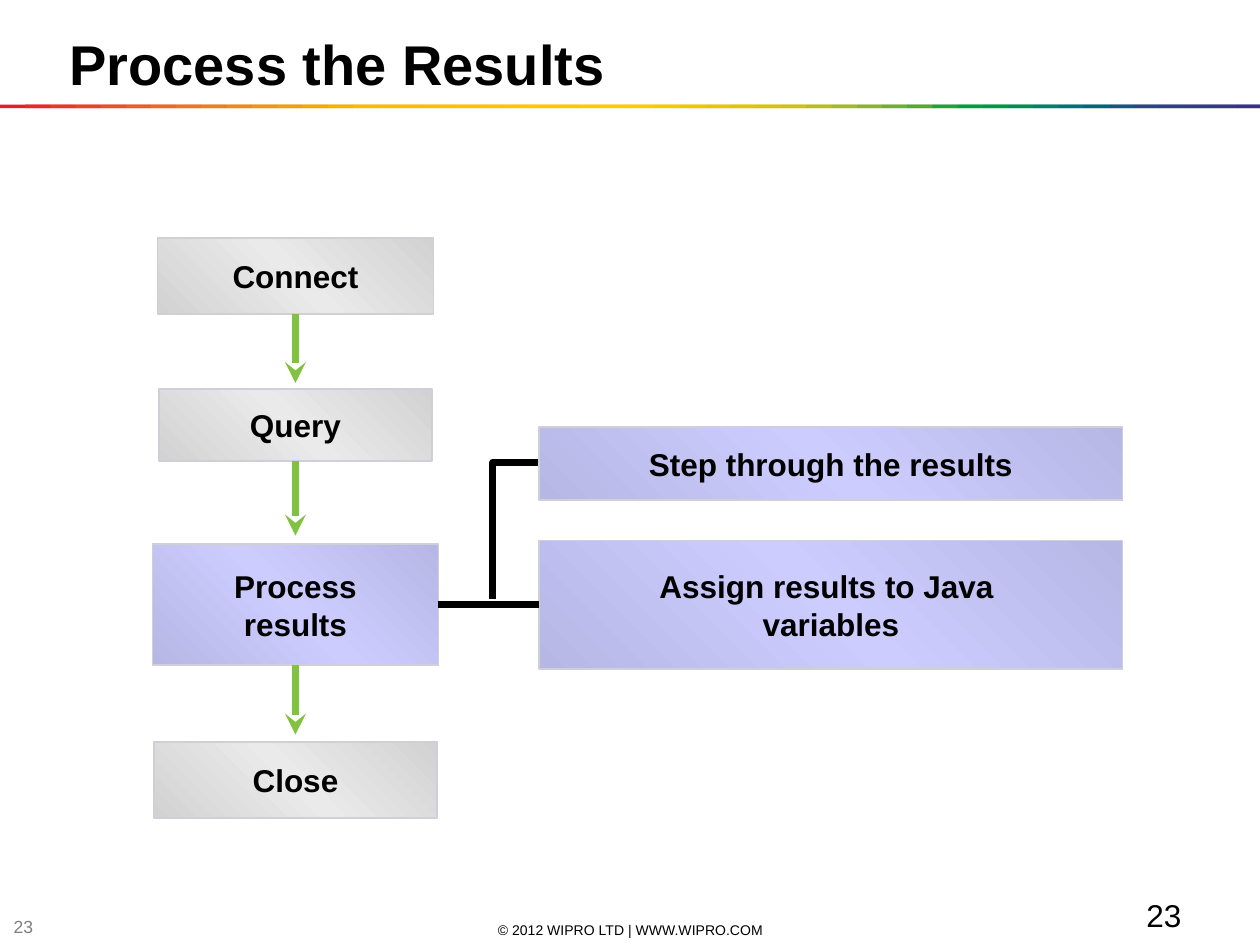
from copy import deepcopy

from lxml import etree
from pptx import Presentation
from pptx.dml.color import RGBColor
from pptx.enum.shapes import MSO_CONNECTOR, MSO_SHAPE
from pptx.enum.text import MSO_ANCHOR, PP_ALIGN
from pptx.oxml.ns import qn
from pptx.util import Inches, Pt

RECT = MSO_SHAPE.RECTANGLE
STRAIGHT = MSO_CONNECTOR.STRAIGHT
LEFT, CENTER = PP_ALIGN.LEFT, PP_ALIGN.CENTER
TOP, MIDDLE = MSO_ANCHOR.TOP, MSO_ANCHOR.MIDDLE

BLACK, GREEN, EDGE = "000000", "81C240", "CFD0D7"
GRAY = ("D2D2D2", "EAEAEA")
BLUE = ("B7B7E5", "CCCCFF")
RAINBOW = """
E31E24 E42C24 E53A24 E74623 E85122 EA5D21 EC691F EE741D EF7E1A F18817
F39314 F49C0F F6A607 F8B002 FBBA00 FBBB00 FBBD00 FCBF00 FCC000 FCC200
FDC400 FDC600 FDC700 FEC900 FECB00 FBCB00 F3CA00 ECC800 E4C602 DCC50A
D5C30E CCC117 B8BC21 A3B829 8CB230 71AD36 51A73B 1DA240 009D43 009846
008C57 008068 007275 00637F 185384 2E4285 313E85 333B85 353885 393185
""".split()


def rgb(code):
    return RGBColor.from_string(code)


def inches(*vals):
    return [Inches(v) for v in vals]


def write(shape, text, size=18, bold=False, color=BLACK, align=LEFT,
          anchor=MIDDLE, wrap=True):
    frame = shape.text_frame
    frame.word_wrap = wrap
    frame.vertical_anchor = anchor
    frame.text = text
    para = frame.paragraphs[0]
    para.alignment = align
    font = para.runs[0].font
    for run in para.runs:
        font = run.font
        font.name, font.size, font.bold = "Arial", Pt(size), bold
        font.color.rgb = rgb(color)


def label(slide, box, text, **style):
    write(slide.shapes.add_textbox(*inches(*box)), text, **style)


def shade(shape, tones):
    """Diagonal fill: dark at both ends, light in the middle."""
    dark, light = tones
    shape.fill.gradient()
    shape.fill.gradient_angle = 45
    first, last = shape.fill.gradient_stops
    first.color.rgb = last.color.rgb = rgb(dark)
    stops = shape._element.spPr.find(".//" + qn("a:gsLst"))
    mid = deepcopy(stops[0])
    mid.set("pos", "50000")
    mid[0].set("val", light)
    stops.insert(1, mid)


def panel(slide, box, text, tones):
    shape = slide.shapes.add_shape(RECT, *inches(*box))
    shape.shadow.inherit = False
    shade(shape, tones)
    shape.line.color.rgb = rgb(EDGE)
    shape.line.width = Pt(1)
    write(shape, text, bold=True, align=CENTER, wrap=False)
    return shape


def link(slide, start, end, color, head=False):
    line = slide.shapes.add_connector(STRAIGHT, *inches(*start, *end))
    line.line.color.rgb = rgb(color)
    line.line.width = Pt(4)
    if head:
        tail = etree.SubElement(line.line._get_or_add_ln(), qn("a:tailEnd"))
        tail.set("type", "stealth")
    etree.SubElement(line._element.spPr, qn("a:effectLst"))
    return line


def elbow(slide, points):
    path = slide.shapes.build_freeform(*inches(*points[0]), scale=1.0)
    path.add_line_segments([inches(*p) for p in points[1:]], close=False)
    shape = path.convert_to_shape()
    shape.shadow.inherit = False
    shape.fill.background()
    shape.line.color.rgb = rgb(BLACK)
    shape.line.width = Pt(4)


def header(slide, box, text):
    title = slide.shapes.title
    title.left, title.top, title.width, title.height = inches(*box)
    write(title, text, size=32, bold=True)


def rule(slide, box):
    """Rainbow line of overlapping strips."""
    left, top, width, height = box
    step = width / len(RAINBOW)
    for i, color in enumerate(RAINBOW):
        wide = min(2 * step, width - i * step)
        strip = slide.shapes.add_shape(
            RECT, *inches(left + i * step, top, wide, height))
        strip.shadow.inherit = False
        strip.fill.solid()
        strip.fill.fore_color.rgb = rgb(color)
        strip.line.fill.background()


def flow(slide, box):
    left, top, width, _ = box
    axis = left + width / 2

    # Steps, centred on one axis: offset, width, height
    steps = [
        panel(slide, (axis - w / 2, top + y, w, h), text, tones)
        for text, y, w, h, tones in (
            ("Connect", 0, 2.19, 0.6, GRAY),
            ("Query", 1.2, 2.17, 0.57, GRAY),
            ("Process\vresults", 2.43, 2.27, 0.96, BLUE),
            ("Close", 4, 2.25, 0.6, GRAY),
        )
    ]

    # Arrows stop just above the next step
    for step, tip in zip(steps, (1.15, 2.36, 3.94)):
        end = (axis, top + tip)
        arrow = link(slide, (axis, top), end, GREEN, head=True)
        arrow.begin_connect(step, 2)
    return steps[2]


def detail(slide, box, source):
    left, top, width, height = box
    mid = top + height - 0.51

    # Branch runs under the upper panel
    elbow(slide, [(left - 0.37, mid - 0.05), (left - 0.37, top + 0.28),
                  (left + 0.22, top + 0.28)])
    panel(slide, (left, top, width, 0.58), "Step through the results", BLUE)
    target = panel(slide, (left, mid - 0.51, width, 1.02),
                   "Assign results to Java \vvariables", BLUE)
    line = link(slide, (left - 0.8, mid), (left, mid), BLACK)
    line.begin_connect(source, 3)
    line.end_connect(target, 1)


def footer(slide):
    label(slide, (3.42, 7.3, 3.17, 0.16), "© 2012 WIPRO LTD | WWW.WIPRO.COM",
          size=8, align=CENTER)
    label(slide, (0.01, 7.27, 0.39, 0.16), "23", size=10, color="7F7F7F")
    label(slide, (9, 7.06, 0.96, 0.35), "23", anchor=TOP)


def main():
    deck = Presentation()
    deck.slide_width, deck.slide_height = inches(10, 7.5)
    slide = deck.slides.add_slide(deck.slide_layouts[5])
    header(slide, (0.45, 0, 9.55, 1), "Process the Results")
    rule(slide, (0, 0.83, 10, 0.03))
    source = flow(slide, (1.21, 1.89, 2.27, 4.6))
    detail(slide, (4.28, 3.39, 4.63, 1.92), source)
    footer(slide)
    deck.save("out.pptx")


if __name__ == "__main__":
    main()
